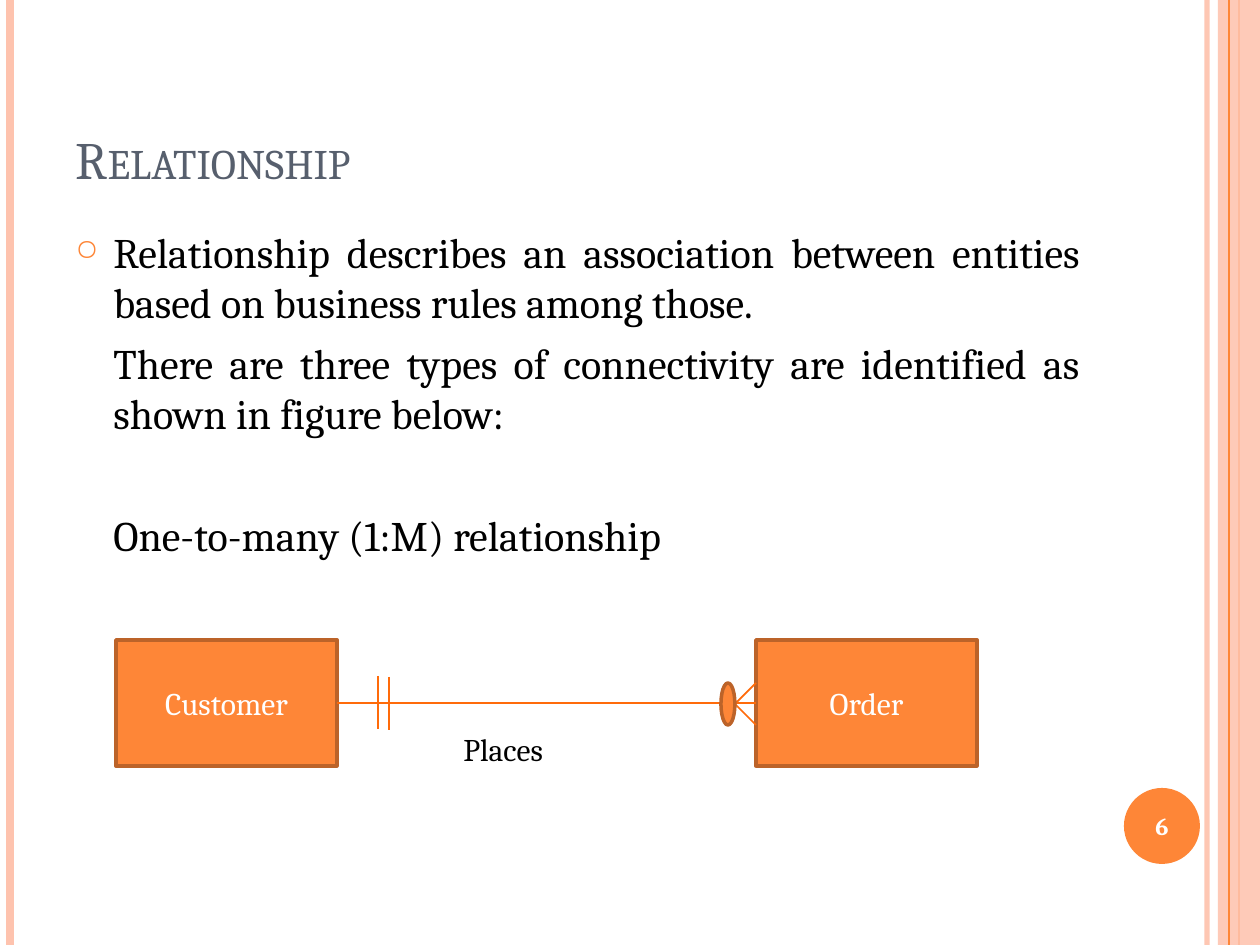
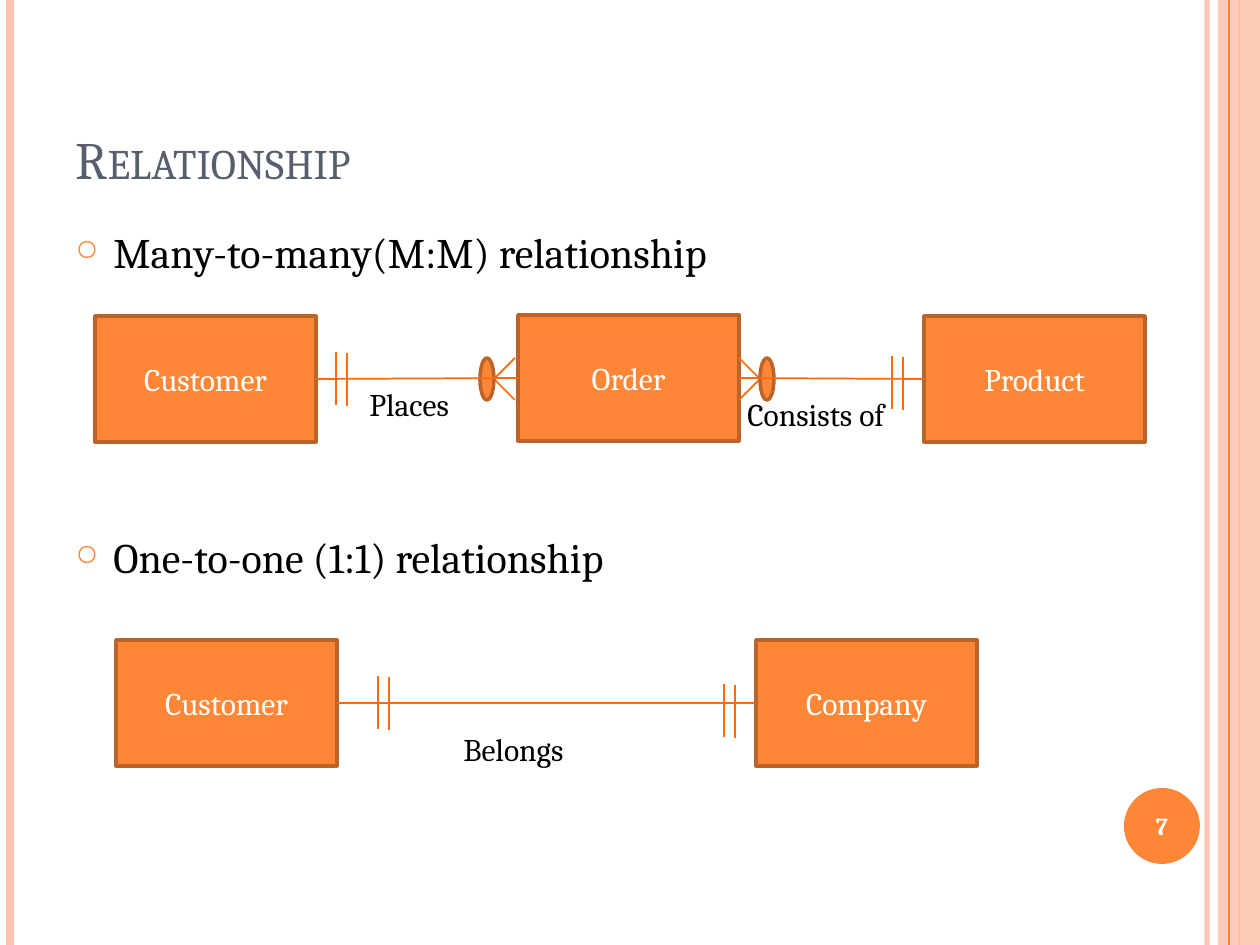
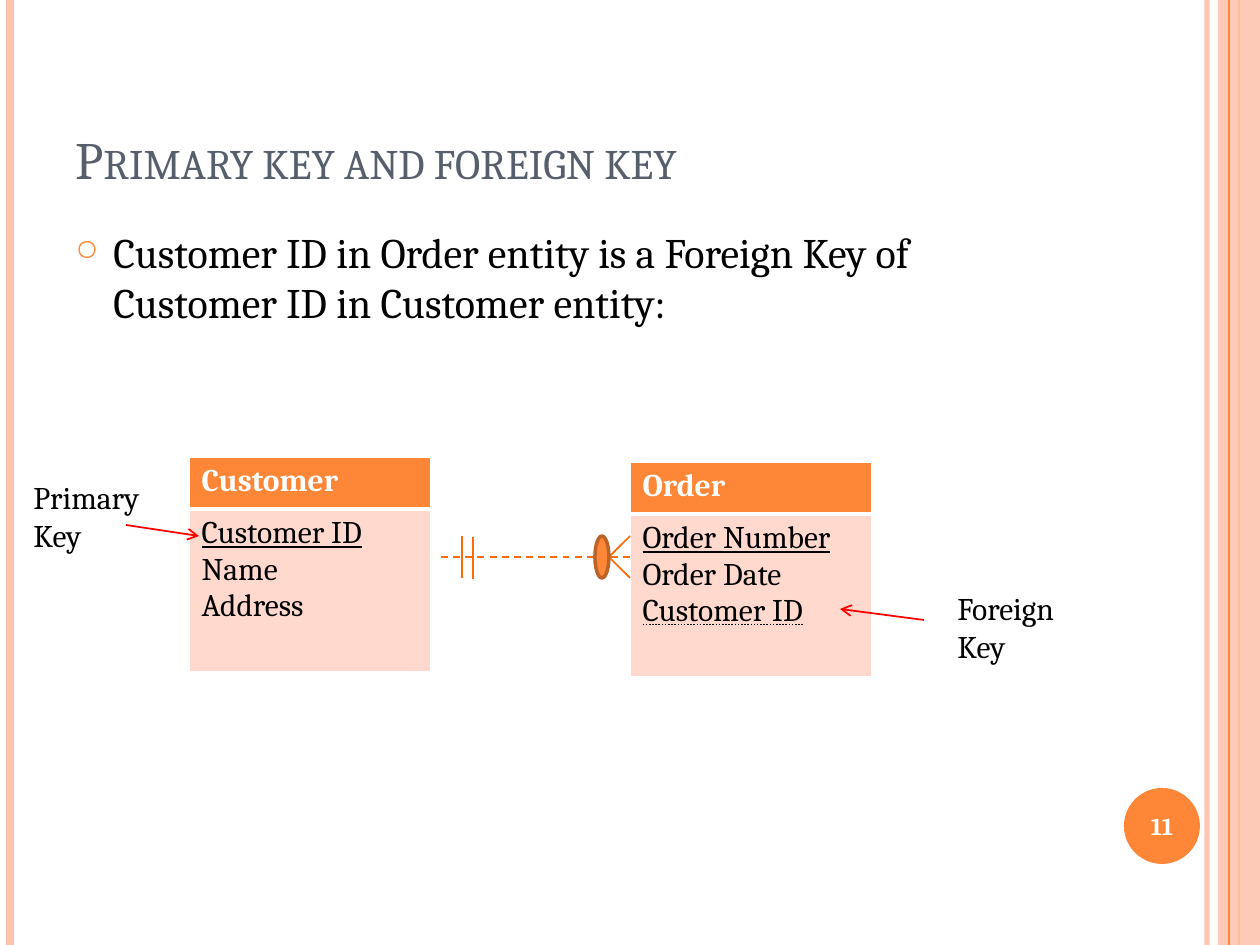
from lxml.etree import SubElement
from pptx import Presentation
from pptx.dml.color import RGBColor
from pptx.enum.dml import MSO_LINE
from pptx.enum.shapes import MSO_CONNECTOR, MSO_SHAPE
from pptx.enum.text import MSO_ANCHOR as ANCHOR, MSO_UNDERLINE as UNDERLINE, PP_ALIGN as ALIGN
from pptx.oxml.ns import qn
from pptx.util import Pt

PX = 914400 / 126
FONT = "Cambria"
COLORS = {name: RGBColor.from_string(value) for name, value in {
    "orange": "FE8637", "outline": "BC6329", "link": "FF6B0A", "band": "FEC3AE",
    "cell": "FFD9CE", "title": "575F6D", "black": "000000", "white": "FFFFFF", "red": "FF0000",
}.items()}

BOX_W, BOX_H = 221, 126      # entity rectangles
OVAL_W, OVAL_H = 14, 42      # the "zero" mark of a crow's foot
FOOT_LENGTH = 21
BAR_GAP = 11                 # between the two bars of a "one" mark
BLANK_LINE = 34.9            # height in points of one skipped body line


def write(frame, text, size=18, color="black", bold=False, align=ALIGN.LEFT, anchor=None,
          underline=None, small_caps=False, space=0, indent=0, bullet=False):
    """Fill the first paragraph of the frame, or add one after the text it holds."""
    frame.word_wrap = True
    if anchor is not None:
        frame.vertical_anchor = anchor
    paragraph = frame.add_paragraph() if frame.text else frame.paragraphs[0]
    paragraph.alignment = align
    paragraph.space_before = Pt(space)
    run = paragraph.add_run()
    run.text = text
    run.font.name, run.font.size, run.font.bold = FONT, Pt(size), bold
    run.font.color.rgb = COLORS[color]
    run.font.underline = underline
    if small_caps:
        run._r.get_or_add_rPr().set("cap", "small")
    properties = paragraph._p.get_or_add_pPr()
    properties.set("marL", str(round(indent * PX)))
    if bullet:
        properties.set("indent", str(round(-indent * PX)))
        bullet_color = SubElement(properties, qn("a:buClr"))
        SubElement(bullet_color, qn("a:srgbClr"), val=str(COLORS["orange"]))
        SubElement(properties, qn("a:buSzPct"), val="70000")
        SubElement(properties, qn("a:buChar"), char="○")


def draw_line(slide, start, end, color="link", width=1, dash=None, arrow=False):
    line = slide.shapes.add_connector(
        MSO_CONNECTOR.STRAIGHT, *(round(value * PX) for value in (*start, *end)))
    line.line.color.rgb = COLORS[color]
    line.line.width = Pt(width)
    if dash:
        line.line.dash_style = dash
    if arrow:
        SubElement(line.line._get_or_add_ln(), qn("a:tailEnd"), type="arrow")
    SubElement(line._element.spPr, qn("a:effectLst"))
    return line


# Content. body: text, skipped lines before it, bulleted, alignment
# boxes: name, x, y; links: pairs of boxes; bars: x, top, height
# feet: tip x, middle y, direction; labels: text, x, y, width
pages = [
    {
        "number": "6", "title": "Relationship",
        "body": [
            ("Relationship describes an association between entities based on business rules "
             "among those.", 0, True, ALIGN.JUSTIFY),
            ("There are three types of connectivity are identified as shown in figure below:",
             0, False, ALIGN.JUSTIFY),
            ("One-to-many (1:M) relationship", 1, False, ALIGN.JUSTIFY),
        ],
        "boxes": [("Customer", 116, 640), ("Order", 756, 640)],
        "links": [(0, 1)],
        "bars": [(378, 676, 53)],
        "feet": [(735, 704, 1)],
        "labels": [("Places", 451, 724, 200)],
        "layers": ["links", "feet"],
    },
    {
        "number": "7", "title": "Relationship",
        "body": [
            ("Many-to-many(M:M) relationship", 0, True, ALIGN.LEFT),
            ("One-to-one (1:1) relationship", 4, True, ALIGN.LEFT),
        ],
        "boxes": [("Customer", 95, 316), ("Order", 518, 315), ("Product", 924, 316),
                  ("Customer", 116, 640), ("Company", 756, 640)],
        "links": [(0, 1), (1, 2), (3, 4)],
        "bars": [(336, 352, 53), (892, 356, 53), (378, 676, 53), (724, 684, 53)],
        "feet": [(494, 379, 1), (760, 379, -1)],
        "labels": [("Places", 357, 379, 126), ("Consists of", 735, 389, 189),
                   ("Belongs", 451, 724, 200)],
        "layers": ["feet", "links"],
    },
    {
        "number": "11", "title": "Primary key and foreign key",
        "body": [("Customer ID in Order entity is a Foreign Key of Customer ID in Customer entity:",
                  0, True, ALIGN.LEFT)],
        "boxes": [], "links": [],
        "bars": [(462, 536, 42)],
        "feet": [(609, 557, 1)],
        "labels": [("Primary Key", 21, 472, 158), ("Foreign Key", 945, 583, 158)],
        "layers": ["links", "feet"],
    },
]

# Entity tables of the last slide: name, x, y, attributes with their underlines
entities = [
    ("Order", 630, 462, [("Order Number", True), ("Order Date", False),
                         ("Customer ID", UNDERLINE.DOTTED_LINE)]),
    ("Customer", 189, 457, [("Customer ID", True), ("Name", False), ("Address", False)]),
]

deck = Presentation()
deck.slide_width, deck.slide_height = round(1260 * PX), round(945 * PX)

for page in pages:
    slide = deck.slides.add_slide(deck.slide_layouts[6])
    shapes = slide.shapes

    # Side bands
    edge = draw_line(slide, (1207, 0), (1207, 945), "band", 3)
    draw_line(slide, (10, 0), (10, 945), "band", 4.5)
    draw_line(slide, (1239, 0), (1239, 945), "orange", 1.5)
    panel = shapes.add_shape(MSO_SHAPE.RECTANGLE, *(round(v * PX) for v in (1218, 0, 42, 945)))
    panel.shadow.inherit = False
    panel.fill.solid()
    panel.fill.fore_color.rgb = COLORS["band"]
    panel.line.fill.background()
    for band, opacity in ((edge, "93000"), (panel, "87000")):
        for tint in band._element.spPr.iter(qn("a:srgbClr")):
            SubElement(tint, qn("a:alpha"), val=opacity)
    draw_line(slide, (1229, 0), (1229, 945), "orange", 0.75)

    # Page number
    disc = shapes.add_shape(MSO_SHAPE.OVAL, *(round(v * PX) for v in (1124, 788, 76, 76)))
    disc.shadow.inherit = False
    disc.fill.solid()
    disc.fill.fore_color.rgb = COLORS["orange"]
    disc.line.fill.background()
    number = shapes.add_textbox(*(round(v * PX) for v in (1120, 790, 84, 72)))
    write(number.text_frame, page["number"], size=14, color="white", bold=True,
          align=ALIGN.CENTER, anchor=ANCHOR.MIDDLE)

    # Title and body
    title = shapes.add_textbox(*(round(v * PX) for v in (63, 38, 1029, 158)))
    write(title.text_frame, page["title"], size=30, color="title", anchor=ANCHOR.BOTTOM,
          small_caps=True)
    body = shapes.add_textbox(*(round(v * PX) for v in (63, 220, 1029, 672)))
    for text, skipped, bullet, align in page["body"]:
        write(body.text_frame, text, size=24, align=align, space=6 + skipped * BLANK_LINE,
              indent=38, bullet=bullet)

    # Entity rectangles
    boxes = []
    for name, x, y in page["boxes"]:
        box = shapes.add_shape(MSO_SHAPE.RECTANGLE, *(round(v * PX) for v in (x, y, BOX_W, BOX_H)))
        box.shadow.inherit = False
        box.fill.solid()
        box.fill.fore_color.rgb = COLORS["orange"]
        box.line.color.rgb = COLORS["outline"]
        box.line.width = Pt(2)
        write(box.text_frame, name, color="white", align=ALIGN.CENTER, anchor=ANCHOR.MIDDLE)
        boxes.append(box)

    # Entity tables with their dashed link and key arrows
    if page is pages[-1]:
        for name, x, y, attributes in entities:
            table = shapes.add_table(2, 1, *(round(v * PX) for v in (x, y, 242, 215))).table
            table.horz_banding = False
            rows = [("orange", 52, [(name, False)], "white", {"lnB": 3}),
                    ("cell", 163, attributes, "black", {"lnT": 3})]
            for index, (fill, height, lines, color, thick) in enumerate(rows):
                table.rows[index].height = round(height * PX)
                cell = table.cell(index, 0)
                cell.fill.solid()
                cell.fill.fore_color.rgb = COLORS[fill]
                for text, underline in lines:
                    write(cell.text_frame, text, color=color, bold=index == 0, underline=underline)
                cell_properties = cell._tc.get_or_add_tcPr()
                for position, side in enumerate(("lnL", "lnR", "lnT", "lnB")):
                    border = SubElement(cell_properties, qn("a:" + side),
                                        w=str(Pt(thick.get(side, 1))))
                    border_fill = SubElement(border, qn("a:solidFill"))
                    SubElement(border_fill, qn("a:srgbClr"), val=str(COLORS["white"]))
                    cell_properties.insert(position, border)
        draw_line(slide, (126, 525), (199, 536), "red", arrow=True)
        draw_line(slide, (924, 620), (840, 609), "red", arrow=True)
        draw_line(slide, (441, 557), (630, 557), dash=MSO_LINE.DASH)

    # Links and crow's feet, from back to front
    for layer in page["layers"]:
        if layer == "links":
            for first, second in page["links"]:
                link = draw_line(slide, (0, 0), (0, 0))
                link.begin_connect(boxes[first], 3)
                link.end_connect(boxes[second], 1)
        else:
            for tip, middle, direction in page["feet"]:
                for spread in (-OVAL_H // 2, OVAL_H // 2):
                    draw_line(slide, (tip, middle),
                              (tip + direction * FOOT_LENGTH, middle + spread))
                oval_x = tip - OVAL_W if direction > 0 else tip
                oval = shapes.add_shape(MSO_SHAPE.OVAL, *(
                    round(v * PX) for v in (oval_x, middle - OVAL_H / 2, OVAL_W, OVAL_H)))
                oval.shadow.inherit = False
                oval.fill.solid()
                oval.fill.fore_color.rgb = COLORS["orange"]
                oval.line.color.rgb = COLORS["outline"]
                oval.line.width = Pt(2)

    # Double bars for "one"
    for x, top, height in page["bars"]:
        for step in (0, 1):
            bar_x, bar_top = x + step * BAR_GAP, top + step
            draw_line(slide, (bar_x, bar_top), (bar_x, bar_top + height))

    # Labels
    for text, x, y, width in page["labels"]:
        label = shapes.add_textbox(*(round(v * PX) for v in (x, y, width, 50)))
        write(label.text_frame, text)

deck.save("out.pptx")
